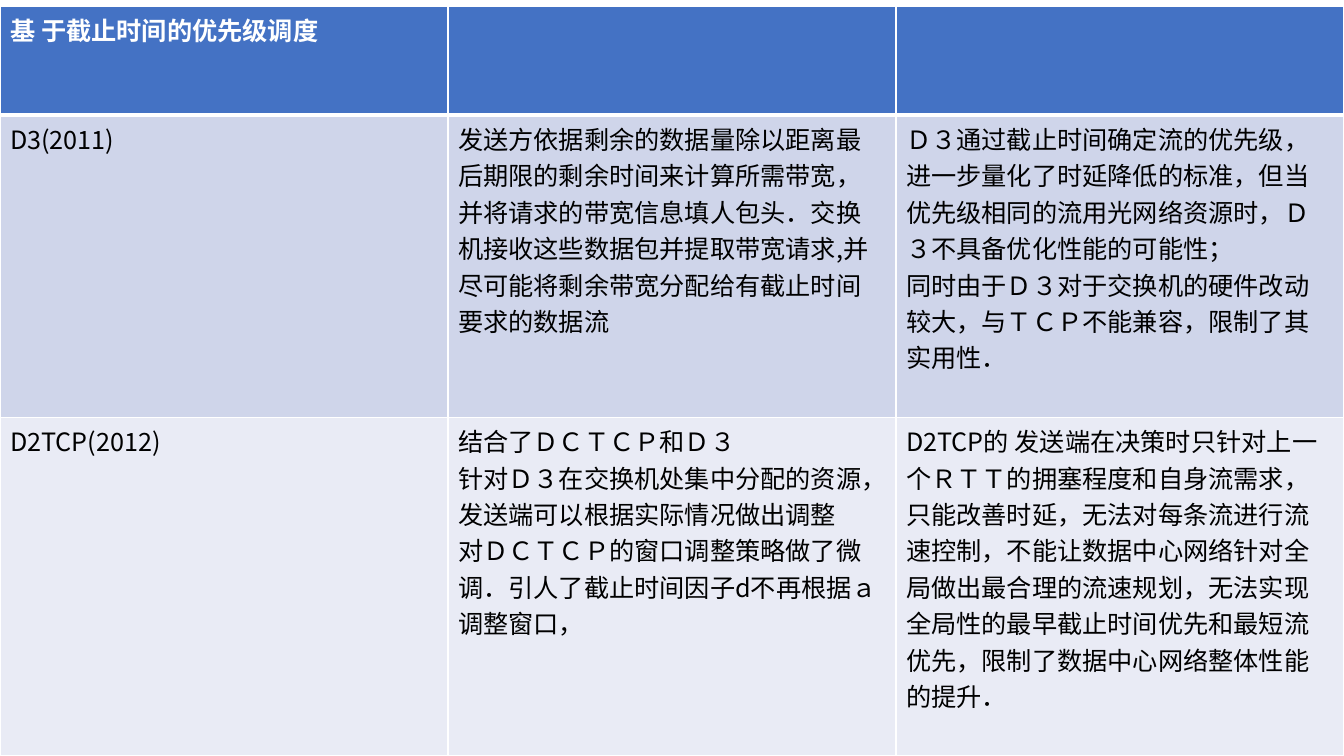
import pptx
import pptx.dml.color
import pptx.oxml.ns
import pptx.util
from lxml import etree
from pptx.util import Inches

COLORS = {"header": "4472C4", "odd": "CFD5EA", "even": "E9EBF5",
          "light": "FFFFFF", "dark": "000000"}
FONT = "Noto Sans CJK SC"

# Table content: rows of cells, each cell a list of paragraphs
ROWS = [
    [["基 于截止时间的优先级调度"], [], []],
    [["D3(2011)"],
     ["发送方依据剩余的数据量除以距离最后期限的剩余时间来计算所需带宽，"
      "并将请求的带宽信息填人包头．交换机接收这些数据包并提取带宽请求,"
      "并尽可能将剩余带宽分配给有截止时间要求的数据流"],
     ["Ｄ３通过截止时间确定流的优先级，进一步量化了时延降低的标准，"
      "但当优先级相同的流用光网络资源时，Ｄ３不具备优化性能的可能性；",
      "同时由于Ｄ３对于交换机的硬件改动较大，与ＴＣＰ不能兼容，限制了其实用性．"]],
    [["D2TCP(2012)"],
     ["结合了ＤＣＴＣＰ和Ｄ３",
      "针对Ｄ３在交换机处集中分配的资源，发送端可以根据实际情况做出调整",
      "对ＤＣＴＣＰ的窗口调整策略做了微调．引人了截止时间因子d不再根据ａ调整窗口，"],
     ["D2TCP的 发送端在决策时只针对上一个ＲＴＴ的拥塞程度和自身流需求，"
      "只能改善时延，无法对每条流进行流速控制，"
      "不能让数据中心网络针对全局做出最合理的流速规划，"
      "无法实现全局性的最早截止时间优先和最短流优先，"
      "限制了数据中心网络整体性能的提升．"]],
]
ROW_HEIGHTS = [1.08, 3, 3.36]
ROW_FILLS = ["header", "odd", "even"]


class SlideBuilder:
    def __init__(self, slide, font, size):
        self.slide = slide
        self.font = font
        self.size = pptx.util.Pt(size)

    def color(self, name):
        return pptx.dml.color.RGBColor.from_string(COLORS[name])

    def add_run(self, paragraph, text, color, bold):
        run = paragraph.add_run()
        run.text = text
        run.font.size = self.size
        run.font.bold = bold
        run.font.color.rgb = self.color(color)
        run.font.name = self.font
        # East Asian typeface
        properties = run.font._element if hasattr(run.font, "_element") else run._r.get_or_add_rPr()
        etree.SubElement(properties, pptx.oxml.ns.qn("a:ea"), typeface=self.font)

    def add_borders(self, cell, widths):
        properties = cell._tc.get_or_add_tcPr()
        for index, (side, width) in enumerate(widths.items()):
            line = etree.Element(pptx.oxml.ns.qn(f"a:ln{side}"),
                                 w=str(pptx.util.Pt(width)))
            fill = etree.SubElement(line, pptx.oxml.ns.qn("a:solidFill"))
            etree.SubElement(fill, pptx.oxml.ns.qn("a:srgbClr"), val=COLORS["light"])
            properties.insert(index, line)

    def fill_cell(self, cell, paragraphs, fill, text_color, bold):
        cell.fill.solid()
        cell.fill.fore_color.rgb = self.color(fill)
        for index, text in enumerate(paragraphs):
            frame = cell.text_frame
            paragraph = frame.add_paragraph() if index else frame.paragraphs[0]
            self.add_run(paragraph, text, text_color, bold)

    def add_table(self, rows, left, top, width, heights):
        shape = self.slide.shapes.add_table(
            len(rows), len(rows[0]), Inches(left), Inches(top),
            Inches(width), Inches(sum(heights)))
        table = shape.table
        for row_index, row in enumerate(rows):
            table.rows[row_index].height = Inches(heights[row_index])
            header = row_index == 0
            # The edge below the header is thicker than the others
            widths = {"L": 1, "R": 1, "T": 3 if row_index == 1 else 1,
                      "B": 3 if header else 1}
            for column_index, paragraphs in enumerate(row):
                cell = table.cell(row_index, column_index)
                self.fill_cell(cell, paragraphs, ROW_FILLS[row_index],
                               "light" if header else "dark", header)
                self.add_borders(cell, widths)


def main():
    presentation = pptx.Presentation()
    presentation.slide_width = Inches(13.33)
    presentation.slide_height = Inches(7.5)
    slide = presentation.slides.add_slide(presentation.slide_layouts[6])

    # Comparison table across the whole slide
    builder = SlideBuilder(slide, FONT, 18)
    builder.add_table(ROWS, 0, 0.06, 13.33, ROW_HEIGHTS)

    presentation.save("out.pptx")


if __name__ == "__main__":
    main()
